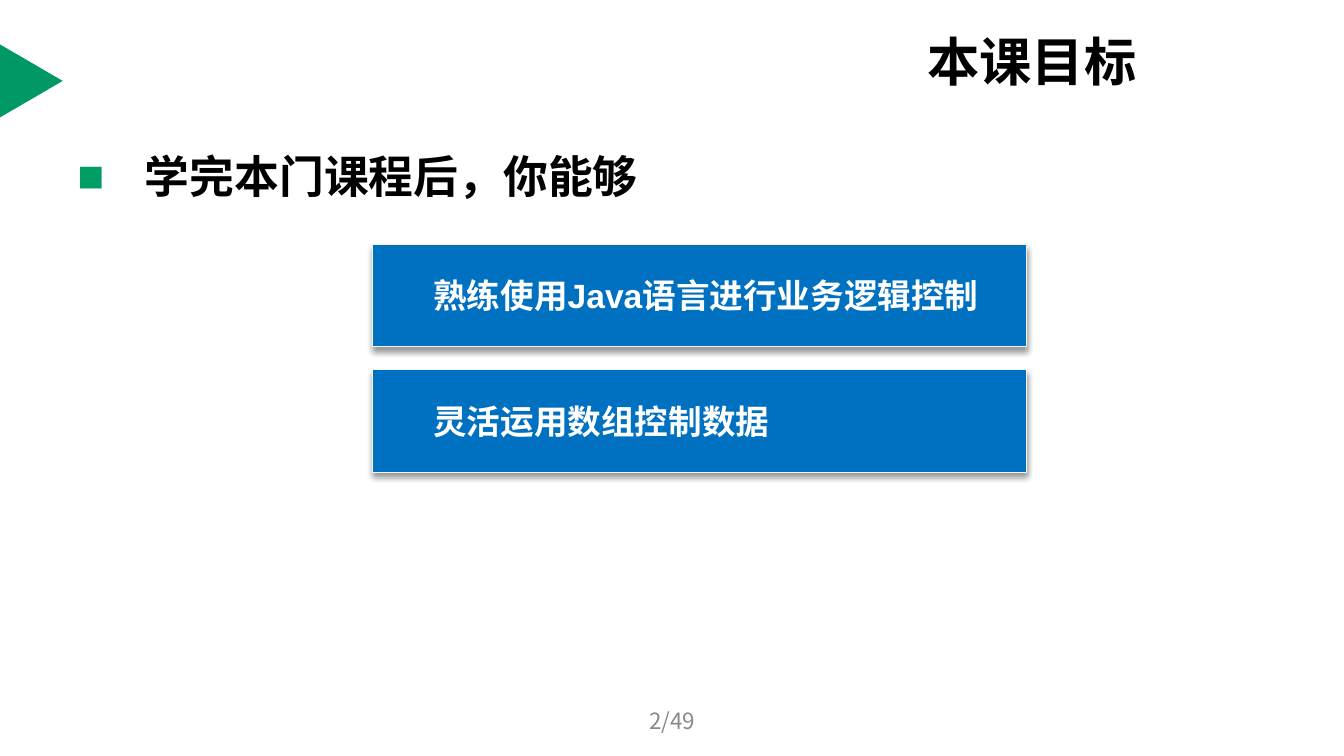
from dataclasses import dataclass

from lxml.etree import SubElement as Sub
from pptx import Presentation
from pptx.dml.color import RGBColor as Rgb
from pptx.enum.shapes import MSO_SHAPE as Geo
from pptx.enum.text import MSO_ANCHOR as Anchor, PP_ALIGN as Align
from pptx.oxml.ns import qn
from pptx.util import Cm, Pt


# Colours, fonts and type sizes
@dataclass(frozen=True)
class Theme:
    black: str = "000000"
    white: str = "FFFFFF"
    grey: str = "898989"
    edge: str = "F2F2F2"
    blue: str = "0070C0"
    green: str = "009966"
    bullet: str = "009E64"
    latin: str = "Arial"
    asian: str = "Noto Sans CJK SC"
    title: float = 37.4
    lead: float = 32
    goal: float = 24
    page: float = 16


@dataclass(frozen=True)
class Box:
    left: float
    top: float
    width: float
    height: float

    def cm(self) -> tuple:
        return Cm(self.left), Cm(self.top), Cm(self.width), Cm(self.height)


@dataclass(frozen=True)
class Style:
    size: float
    color: str
    font: str
    bold: bool = True
    align: Align = Align.LEFT
    anchor: Anchor = Anchor.MIDDLE
    before: float = 0
    margin: float = 0
    indent: float = 0


THEME = Theme()
TITLE = Style(THEME.title, THEME.black, THEME.asian)
LEAD = Style(THEME.lead, THEME.black, THEME.asian, anchor=Anchor.TOP,
             before=6.4, margin=1.7, indent=-1.7)
GOAL = Style(THEME.goal, THEME.white, THEME.latin,
             before=4.8, margin=2.06, indent=-0.79)
PAGE = Style(THEME.page, THEME.grey, THEME.asian, bold=False,
             align=Align.CENTER)

GOALS = ["熟练使用Java语言进行业务逻辑控制", "灵活运用数组控制数据"]
FIRST = Box(9.4, 6.15, 16.46, 2.59)
STEP = 3.17


def apply(target, values: dict) -> None:
    for name, value in values.items():
        setattr(target, name, value)


def write(shape, text: str, style: Style):
    """Fill a shape with one styled paragraph and return the paragraph."""
    frame = shape.text_frame
    apply(frame, {"word_wrap": True, "vertical_anchor": style.anchor})
    para = frame.paragraphs[0]
    apply(para, {"alignment": style.align, "space_before": Pt(style.before)})
    props = para._p.get_or_add_pPr()
    props.set("marL", str(Cm(style.margin)))
    props.set("indent", str(Cm(style.indent)))
    run = para.add_run()
    run.text = text
    apply(run.font, {"size": Pt(style.size), "bold": style.bold,
                     "name": style.font})
    run.font.color.rgb = Rgb.from_string(style.color)
    Sub(run._r.get_or_add_rPr(), qn("a:ea"), typeface=THEME.asian)
    return para


def mark(para) -> None:
    """Give a paragraph a square bullet."""
    props = para._p.get_or_add_pPr()
    Sub(Sub(props, qn("a:buClr")), qn("a:srgbClr"), val=THEME.bullet)
    Sub(props, qn("a:buFont"), typeface=THEME.latin)
    Sub(props, qn("a:buChar"), char="■")


def label(slide, box: Box, text: str, style: Style):
    return write(slide.shapes.add_textbox(*box.cm()), text, style)


def block(slide, geo: Geo, box: Box, fill: str):
    shape = slide.shapes.add_shape(geo, *box.cm())
    shape.shadow.inherit = False
    shape.fill.solid()
    shape.fill.fore_color.rgb = Rgb.from_string(fill)
    shape.line.fill.background()
    return shape


def shade(shape) -> None:
    """Cast a soft shadow straight down."""
    effects = shape._element.spPr.find(qn("a:effectLst"))
    cast = Sub(effects, qn("a:outerShdw"), blurRad=str(Pt(4)),
               dist=str(Pt(3)), dir="5400000", rotWithShape="0")
    color = Sub(cast, qn("a:srgbClr"), val=THEME.black)
    Sub(color, qn("a:alpha"), val="40000")


def goal(slide, box: Box, text: str) -> None:
    card = block(slide, Geo.RECTANGLE, box, THEME.blue)
    card.line.color.rgb = Rgb.from_string(THEME.edge)
    card.line.width = Pt(0.75)
    shade(card)
    write(card, text, GOAL)


def main() -> None:
    deck = Presentation()
    apply(deck, {"slide_width": Cm(33.87), "slide_height": Cm(19.05)})
    slide = deck.slides.add_slide(deck.slide_layouts[5])

    # Corner triangle and title
    flag = block(slide, Geo.ISOSCELES_TRIANGLE,
                 Box(-0.13, 1.25, 1.84, 1.58), THEME.green)
    flag.rotation = 90
    title = slide.shapes.title
    spot = Box(23.11, 0.79, 6.05, 1.45).cm()
    apply(title, dict(zip(("left", "top", "width", "height"), spot)))
    write(title, "本课目标", TITLE)

    # Lead line
    mark(label(slide, Box(1.7, 3.63, 30.48, 13.39),
               "学完本门课程后，你能够", LEAD))

    # Goals
    for row, text in enumerate(GOALS):
        goal(slide, Box(FIRST.left, FIRST.top + row * STEP,
                        FIRST.width, FIRST.height), text)

    # Page number
    label(slide, Box(11.58, 17.65, 10.72, 1.02), "2/49", PAGE)

    deck.save("out.pptx")


if __name__ == "__main__":
    main()
